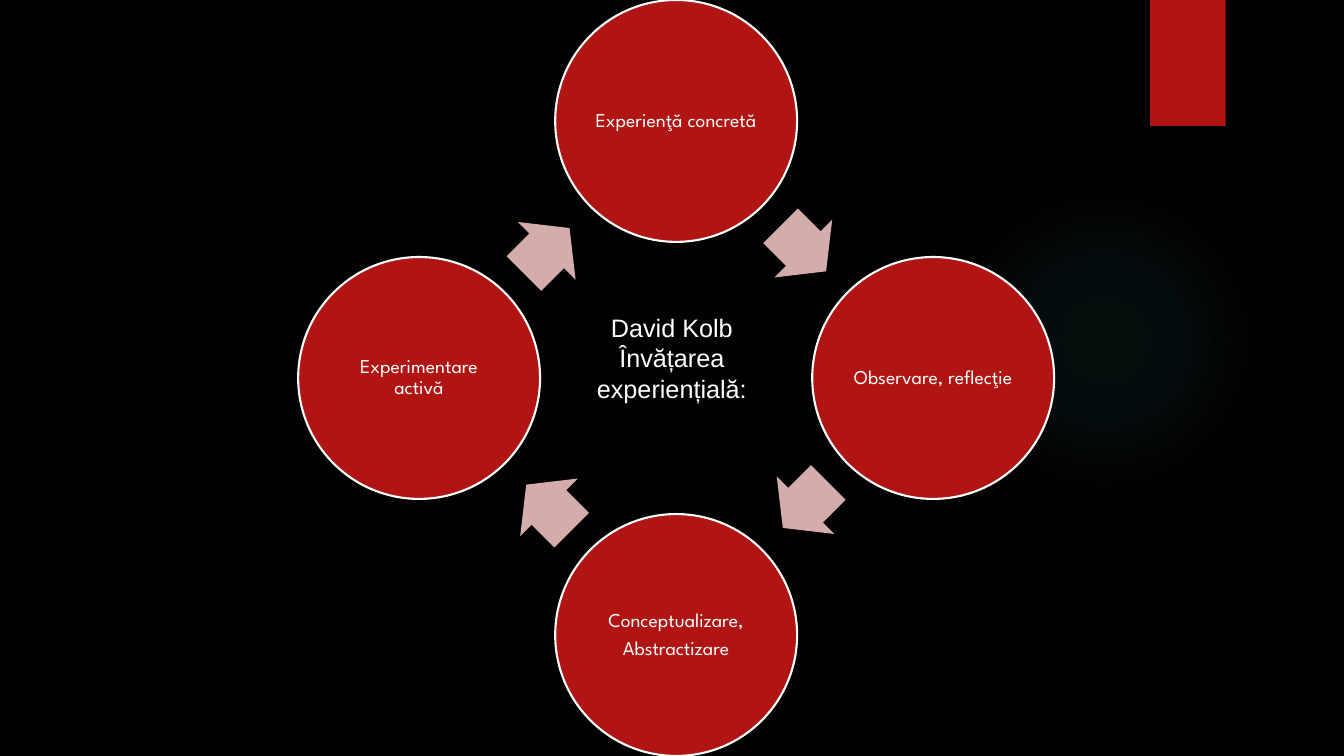
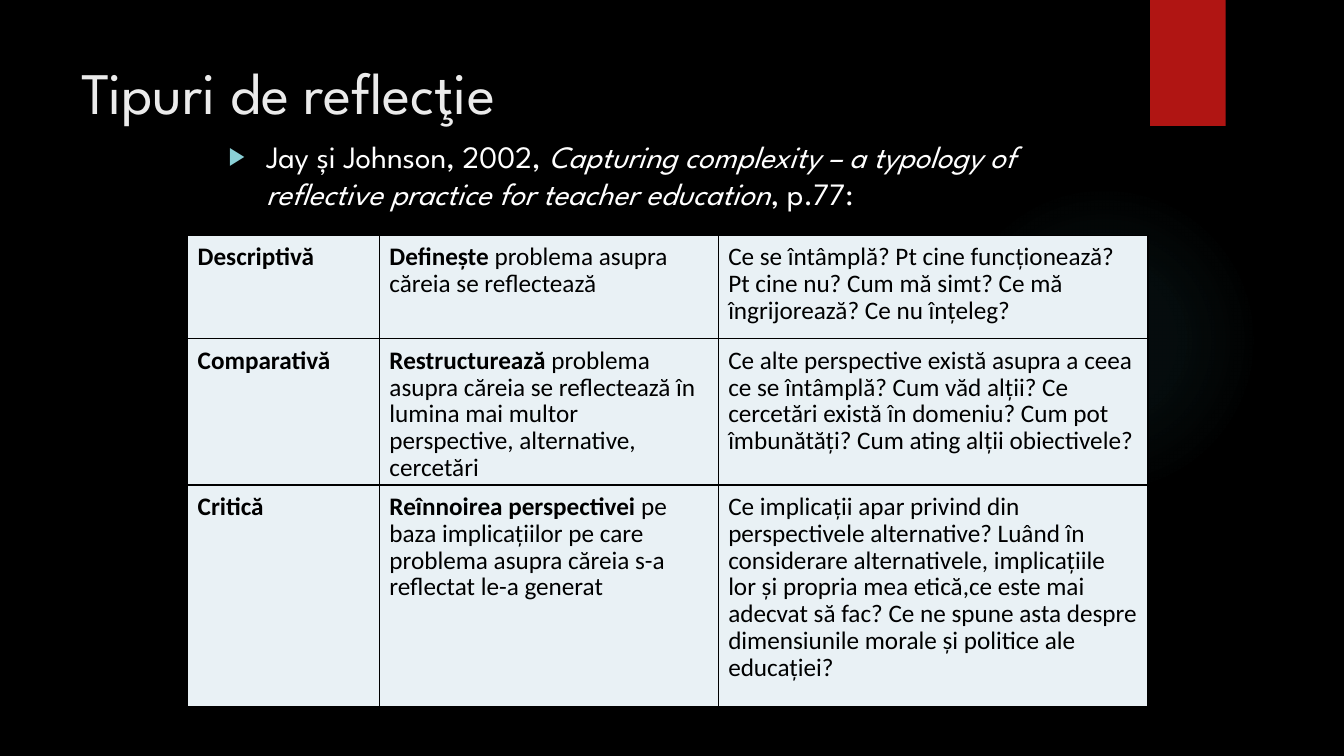
"""Build two slides on experiential learning and types of reflection."""
from math import cos, radians, sin

from pptx import Presentation
from pptx.dml.color import RGBColor
from pptx.enum.shapes import MSO_SHAPE
from pptx.enum.text import MSO_ANCHOR, MSO_AUTO_SIZE, PP_ALIGN
from pptx.oxml import parse_xml
from pptx.oxml.ns import nsdecls
from pptx.util import Pt

OVAL, RECTANGLE, ARROW = MSO_SHAPE.OVAL, MSO_SHAPE.RECTANGLE, MSO_SHAPE.RIGHT_ARROW
LEFT, CENTER = PP_ALIGN.LEFT, PP_ALIGN.CENTER
TOP, MIDDLE = MSO_ANCHOR.TOP, MSO_ANCHOR.MIDDLE

BLACK = RGBColor(0x00, 0x00, 0x00)
WHITE = RGBColor(0xFF, 0xFF, 0xFF)
RED = RGBColor(0xB0, 0x15, 0x13)
PINK = RGBColor(0xD4, 0xAC, 0xAB)
TITLE_GREY = RGBColor(0xEB, 0xEB, 0xEB)
CELL_BLUE = RGBColor(0xE9, 0xF1, 0xF5)
BULLET_TEAL = RGBColor(0x8A, 0xD0, 0xD6)
GLOW_TEAL = RGBColor(0x50, 0xB9, 0xC1)

DISPLAY, SANS, TABLE_FONT = "League Spartan", "Arial", "Calibri"

STAGES = [
    ["Experienţă concretă"],
    ["Observare, reflecţie"],
    ["Conceptualizare,", "Abstractizare"],
    ["Experimentare activă"],
]
CYCLE_NAME = ["David Kolb", "Învățarea experiențială:"]

TITLE = "Tipuri de reflecţie"
CITATION = [
    ("Jay și Johnson, 2002, ", ""),
    ("Capturing complexity – a typology of reflective practice for teacher education", "i"),
    (", p.77:", ""),
]
REFLECTION_TYPES = [
    (
        [("Descriptivă", "b")],
        [("Definește", "b"), (" problema asupra căreia se reflectează", "")],
        [("Ce se întâmplă? Pt cine funcționează? Pt cine nu? Cum mă simt? "
          "Ce mă îngrijorează? Ce nu înțeleg?", "")],
    ),
    (
        [("Comparativă", "b")],
        [("Restructurează", "b"),
         (" problema asupra căreia se reflectează în lumina mai multor "
          "perspective, alternative, cercetări", "")],
        [("Ce alte perspective există asupra a ceea ce se întâmplă? Cum văd alții? "
          "Ce cercetări există în domeniu? Cum pot îmbunătăți? "
          "Cum ating alții obiectivele?", "")],
    ),
    (
        [("Critică", "b")],
        [("Reînnoirea perspectivei", "b"),
         (" pe baza implicațiilor pe care problema asupra căreia s-a reflectat "
          "le-a generat", "")],
        [("Ce implicații apar privind din perspectivele alternative? Luând în "
          "considerare alternativele, implicațiile lor și propria mea etică,ce este "
          "mai adecvat să fac? Ce ne spune asta despre dimensiunile morale și "
          "politice ale educației?", "")],
    ),
]

CYCLE_X, CYCLE_Y = 483, 270
STAGE_SIZE, STAGE_ORBIT = 172.8, 183.6
ARROW_WIDTH, ARROW_HEIGHT, ARROW_ORBIT = 46, 58.3, 129.6
COLUMN_WIDTHS = [137, 242, 307]
ROW_HEIGHTS = [74, 104.5, 158]
GLOW_STOPS = [(0, 7), (36, 6), (69, 0)]


def add_shape(page, kind, left, top, width, height, fill=None):
    """Add a preset shape without outline or shadow."""
    shape = page.shapes.add_shape(kind, Pt(left), Pt(top), Pt(width), Pt(height))
    shape.shadow.inherit = False
    shape.line.fill.background()
    if fill is None:
        shape.fill.background()
    else:
        shape.fill.solid()
        shape.fill.fore_color.rgb = fill
    return shape


def set_insets(target, left, top, right, bottom):
    """Set the inner margins of a text frame or table cell."""
    target.margin_left, target.margin_top = Pt(left), Pt(top)
    target.margin_right, target.margin_bottom = Pt(right), Pt(bottom)


def add_spans(para, spans, font, size, color, align=LEFT, spacing=None):
    """Fill a paragraph with runs marked bold or italic."""
    para.alignment = align
    para.line_spacing = spacing
    for text, style in spans:
        span = para.add_run()
        span.text = text
        span.font.name, span.font.size = font, Pt(size)
        span.font.color.rgb = color
        span.font.bold, span.font.italic = style == "b", style == "i"


def add_lines(frame, lines, font, size, spacing=None, gap=0):
    """Fill a text frame with centred white paragraphs."""
    frame.word_wrap = True
    for index, line in enumerate(lines):
        para = frame.add_paragraph() if index else frame.paragraphs[0]
        para.space_after = Pt(gap)
        add_spans(para, [(line, "")], font, size, WHITE, CENTER, spacing)


def add_page(deck, layout_index):
    """Add a page with the shared glow and red tab."""
    page = deck.slides.add_slide(deck.slide_layouts[layout_index])
    glow = add_shape(page, OVAL, 677.5, 131.8, 221.8, 221.8)
    stops = "".join(
        f'<a:gs pos="{place * 1000}"><a:srgbClr val="{GLOW_TEAL}">'
        f'<a:alpha val="{alpha * 1000}"/></a:srgbClr></a:gs>'
        for place, alpha in GLOW_STOPS)
    gradient = parse_xml(
        f'<a:gradFill {nsdecls("a")}><a:gsLst>{stops}</a:gsLst><a:path path="circle">'
        '<a:fillToRect l="50000" t="50000" r="50000" b="50000"/></a:path></a:gradFill>')
    properties = glow.element.spPr
    properties.replace(properties.find("{*}noFill"), gradient)
    add_shape(page, RECTANGLE, 821.5, 0, 54, 90, RED)
    return page


def around(angle, orbit, width, height):
    """Return the left and top of an item placed on the cycle."""
    turn = radians(angle)
    return (CYCLE_X + orbit * cos(turn) - width / 2,
            CYCLE_Y + orbit * sin(turn) - height / 2)


def build_cycle(deck):
    """Build the learning cycle slide."""
    page = add_page(deck, 6)
    for index, lines in enumerate(STAGES):
        angle = 90 * index - 90
        left, top = around(angle, STAGE_ORBIT, STAGE_SIZE, STAGE_SIZE)
        stage = add_shape(page, OVAL, left, top, STAGE_SIZE, STAGE_SIZE, RED)
        stage.line.color.rgb, stage.line.width = WHITE, Pt(1.5)
        set_insets(stage.text_frame, 1.4, 1.4, 1.4, 1.4)
        stage.text_frame.vertical_anchor = MIDDLE
        add_lines(stage.text_frame, lines, DISPLAY, 14, 0.9, 5)

        left, top = around(angle + 44.5, ARROW_ORBIT, ARROW_WIDTH, ARROW_HEIGHT)
        arrow = add_shape(page, ARROW, left, top, ARROW_WIDTH, ARROW_HEIGHT, PINK)
        arrow.adjustments[0], arrow.adjustments[1] = 0.6, 0.5
        arrow.rotation = angle + 135
    box = page.shapes.add_textbox(Pt(387.4), Pt(219.6), Pt(185), Pt(72.7))
    add_lines(box.text_frame, CYCLE_NAME, SANS, 18)


def add_bullet(para):
    """Give a paragraph a hanging triangle bullet."""
    properties = para._p.get_or_add_pPr()
    properties.set("marL", str(Pt(27)))
    properties.set("indent", str(-Pt(27)))
    for item in (f'buClr {nsdecls("a")}><a:srgbClr val="{BULLET_TEAL}"/></a:buClr>',
                 f'buSzPct {nsdecls("a")} val="80000"/>',
                 f'buFont {nsdecls("a")} typeface="{SANS}"/>',
                 f'buChar {nsdecls("a")} char="▶"/>'):
        properties.append(parse_xml("<a:" + item))


def add_borders(cell):
    """Draw black lines on all sides of a cell."""
    properties = cell._tc.get_or_add_tcPr()
    for side in "LRTB":
        properties.append(parse_xml(
            f'<a:ln{side} {nsdecls("a")} w="{Pt(1)}"><a:solidFill>'
            f'<a:srgbClr val="{BLACK}"/></a:solidFill></a:ln{side}>'))


def build_types(deck):
    """Build the reflection types slide."""
    page = add_page(deck, 5)
    title = page.shapes.title
    title.left, title.top, title.width, title.height = Pt(51), Pt(36), Pt(741), Pt(110)
    title.text_frame.vertical_anchor = TOP
    title.text_frame.auto_size = MSO_AUTO_SIZE.NONE
    add_spans(title.text_frame.paragraphs[0], [(TITLE, "")], DISPLAY, 42, TITLE_GREY)

    box = page.shapes.add_textbox(Pt(156.2), Pt(94.3), Pt(648), Pt(73.4))
    box.text_frame.word_wrap = True
    para = box.text_frame.paragraphs[0]
    add_bullet(para)
    add_spans(para, CITATION, DISPLAY, 22.2, WHITE)

    table = page.shapes.add_table(
        len(ROW_HEIGHTS), len(COLUMN_WIDTHS), Pt(134), Pt(168),
        Pt(sum(COLUMN_WIDTHS)), Pt(sum(ROW_HEIGHTS))).table
    table.first_row = table.horz_banding = False
    for column, width in zip(table.columns, COLUMN_WIDTHS):
        column.width = Pt(width)
    for row, height, contents in zip(table.rows, ROW_HEIGHTS, REFLECTION_TYPES):
        row.height = Pt(height)
        for cell, spans in zip(row.cells, contents):
            add_borders(cell)
            cell.fill.solid()
            cell.fill.fore_color.rgb = CELL_BLUE
            set_insets(cell, 7.2, 6.5, 7.2, 3.6)
            add_spans(cell.text_frame.paragraphs[0], spans, TABLE_FONT, 18, BLACK,
                      spacing=0.87)


def main():
    """Build and save the deck."""
    deck = Presentation()
    deck.slide_width, deck.slide_height = Pt(960), Pt(540)
    background = deck.slide_master.background.fill
    background.solid()
    background.fore_color.rgb = BLACK
    build_cycle(deck)
    build_types(deck)
    deck.save("out.pptx")


if __name__ == "__main__":
    main()
